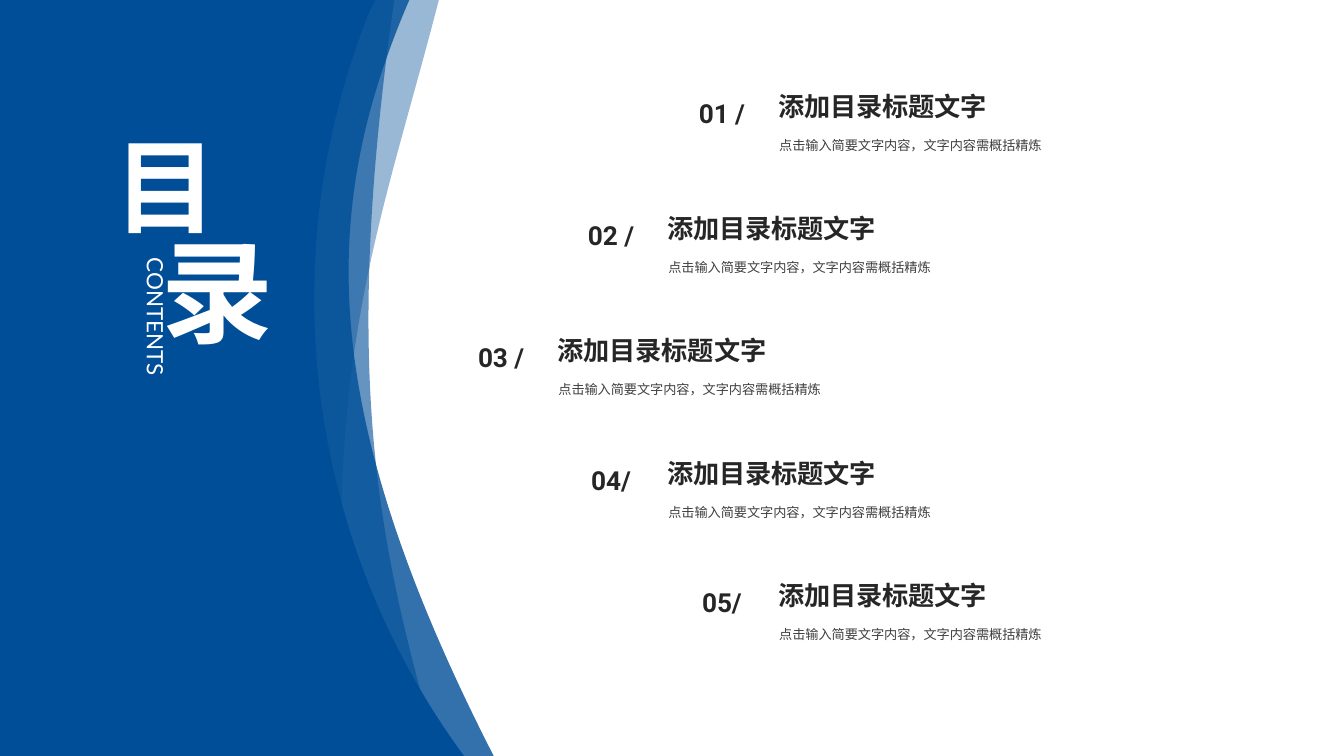
from dataclasses import dataclass

from lxml import etree
from pptx import Presentation, util as u
from pptx.dml.color import RGBColor
from pptx.enum import text as t
from pptx.oxml.ns import qn

PX = 9144  # EMU per px, 100 px to the inch


@dataclass(frozen=True)
class Theme:
    blue: str = "004E98"
    white: str = "FFFFFF"
    heading: str = "262626"
    body: str = "404040"
    cjk: str = "Noto Sans CJK SC"
    latin: str = "Roboto"
    caption: str = "Lato"
    upper_size: float = 73.33
    lower_size: float = 80
    caption_size: float = 16
    heading_size: float = 18.67
    body_size: float = 9.33


THEME = Theme()


class Board:
    def __init__(self, slide, theme):
        self.slide, self.theme = slide, theme
        self.layer = slide.shapes

    def group(self):
        """Send the elements that follow into a new group."""
        self.layer = self.slide.shapes.add_group_shape().shapes

    def ungroup(self):
        self.layer = self.slide.shapes

    def wave(self, start, steps, opacity=100):
        """Draw an outline: two numbers make a line, six a cubic curve."""
        builder = self.layer.build_freeform(*start, scale=PX)
        builder.add_line_segments([step[-2:] for step in steps], close=True)
        wave = builder.convert_to_shape()
        corners = list(wave._element.iter(qn("a:lnTo")))
        for corner, step in zip(corners, steps):
            if len(step) == 6:
                self.bend(corner, step, wave)
        wave.shadow.inherit = False
        wave.line.fill.background()
        wave.fill.solid()
        wave.fill.fore_color.rgb = RGBColor.from_string(self.theme.blue)
        if opacity < 100:
            color = wave._element.spPr.find(".//" + qn("a:srgbClr"))
            etree.SubElement(color, qn("a:alpha"), val=str(opacity * 1000))

    def bend(self, corner, step, wave):
        """Replace a straight segment of the wave by a cubic curve."""
        path = corner.getparent()
        per_px = int(path.get("w")) / (wave.width / PX)
        curve = etree.Element(qn("a:cubicBezTo"))
        for x, y in zip(step[::2], step[1::2]):
            etree.SubElement(curve, qn("a:pt"),
                             x=str(round((x - wave.left / PX) * per_px)),
                             y=str(round((y - wave.top / PX) * per_px)))
        path.replace(corner, curve)

    def label(self, words, box, size, color, font, bold=False, align=t.PP_ALIGN.LEFT,
              leading=None, tracking=0, wrap=True, rotation=0):
        holder = self.layer.add_textbox(*(side * PX for side in box))
        holder.rotation = rotation
        frame = holder.text_frame
        paragraph = frame.paragraphs[0]
        run = paragraph.add_run()
        run.text = words
        formats = (
            (frame, {"word_wrap": wrap, "auto_size": t.MSO_AUTO_SIZE.SHAPE_TO_FIT_TEXT}),
            (paragraph, {"alignment": align, "line_spacing": leading}),
            (run.font, {"size": u.Pt(size), "bold": bold, "name": font}),
            (run.font.color, {"rgb": RGBColor.from_string(color)}),
        )
        for target, values in formats:
            for name, value in values.items():
                setattr(target, name, value)
        properties = run._r.get_or_add_rPr()
        etree.SubElement(properties, qn("a:ea"), typeface=self.theme.cjk)
        if tracking:
            properties.set("spc", str(tracking * 100))

    def entry(self, number, left, top, summary_width):
        """Add one line of the contents: heading, number and summary."""
        th = self.theme
        heading = dict(size=th.heading_size, color=th.heading, font=th.latin,
                       bold=True, align=t.PP_ALIGN.CENTER)
        self.group()
        self.label("添加目录标题文字", (left + 83, top, 247, 42), **heading)
        self.label(number, (left, top + 7, 94, 42), **heading)
        self.label("点击输入简要文字内容，文字内容需概括精炼",
                   (left + 94, top + 39, summary_width, 32),
                   th.body_size, th.body, th.latin, leading=1.5)
        self.ungroup()


PANEL = ((377, -11), [(365, 15), (268, 261, 305, 540, 461, 751), (465, 756),
                      (-33, 756), (-33, -11)])
WAVES = [
    ((408, -108), [(309, 470, 404, 601, 478, 914), (434, 917, 414, 927, 351, 926),
                   (278, 661, 310, 238, 310, -83)], 60),
    ((381, 961), [(282, 384, 377, 253, 450, -60), (407, -63, 386, -73, 324, -72),
                  (251, 193, 283, 616, 282, 937)], 40),
    ((555, 870), [(294, 415, 308, 197, 430, -52), (390, -52, 406, -55, 366, -55),
                  (264, 178, 251, 555, 311, 869), (392, 869, 474, 870, 555, 870)], 80),
]
# number, width of the summary
ENTRIES = [("01 /", 432), ("02 /", 432), ("03 /", 447), ("04/", 479), ("05/", 458)]


def main():
    deck = Presentation()
    deck.slide_width, deck.slide_height = 1333 * PX, 750 * PX
    board = Board(deck.slides.add_slide(deck.slide_layouts[6]), THEME)

    board.wave(*PANEL)
    board.group()
    for wave in WAVES:
        board.wave(*wave)
    board.ungroup()

    title = dict(color=THEME.white, font=THEME.cjk, bold=True, tracking=8)
    board.label("目", (47, 117, 236, 134), THEME.upper_size,
                align=t.PP_ALIGN.CENTER, **title)
    board.label("录", (150, 216, 144, 145), THEME.lower_size, wrap=False, **title)
    board.label("CONTENTS", (-35, 418, 385, 41), THEME.caption_size, THEME.white,
                THEME.caption, leading=1.2, rotation=90)

    middle = len(ENTRIES) // 2
    for i, (number, summary_width) in enumerate(ENTRIES):
        left = 450 + 219 * abs(i - middle) // 2
        board.entry(number, left, 85 + round(121.25 * i), summary_width)

    deck.save("out.pptx")


if __name__ == "__main__":
    main()
